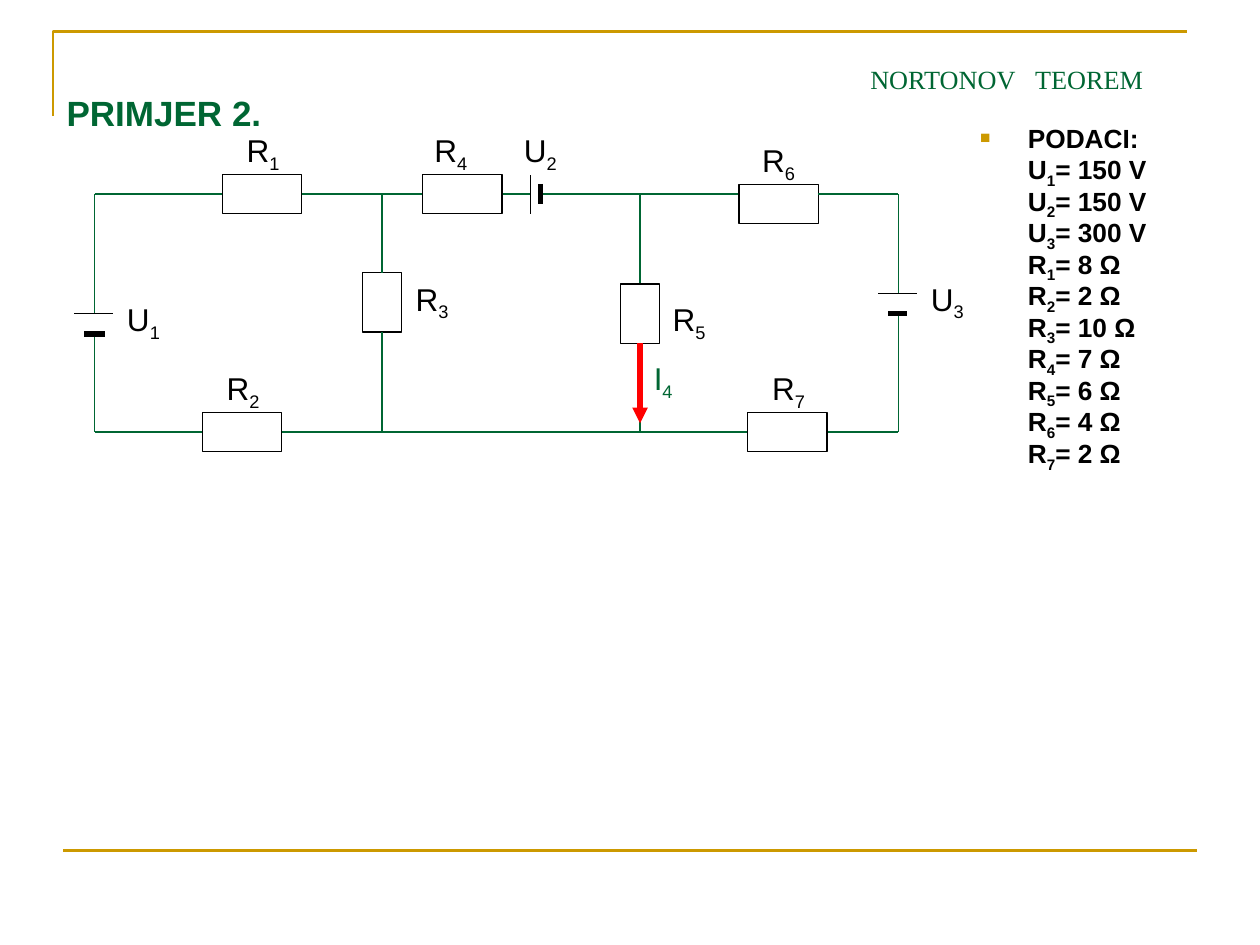
"""Build the slide with Norton's theorem, example 2: circuit diagram and data list."""
import pptx
import pptx.util
import pptx.dml.color
import pptx.enum.shapes
import pptx.enum.text
import pptx.oxml.ns
from lxml import etree

Inches, Pt = pptx.util.Inches, pptx.util.Pt
RGB = pptx.dml.color.RGBColor
ALIGN = pptx.enum.text.PP_ALIGN
ANCHOR = pptx.enum.text.MSO_ANCHOR
qn = pptx.oxml.ns.qn

GOLD = RGB(0xCC, 0x99, 0x00)
GREEN = RGB(0x00, 0x66, 0x33)
BLACK = RGB(0, 0, 0)
WHITE = RGB(0xFF, 0xFF, 0xFF)
RED = RGB(0xFF, 0, 0)

DATA = [
    ("U", "1", "150 V"), ("U", "2", "150 V"), ("U", "3", "300 V"),
    ("R", "1", "8 Ω"), ("R", "2", "2 Ω"), ("R", "3", "10 Ω"), ("R", "4", "7 Ω"),
    ("R", "5", "6 Ω"), ("R", "6", "4 Ω"), ("R", "7", "2 Ω"),
]

LEFT, MID, RIGHT, END = 0.75, 3.03, 5.08, 7.13
TOP, BOTTOM = 1.54, 3.43
ACROSS, UPRIGHT = (0.63, 0.31), (0.31, 0.47)

OPEN_RESISTORS = [(2.08, TOP, ACROSS), (MID, 2.4, UPRIGHT), (1.92, BOTTOM, ACROSS), (6.18, 1.62, ACROSS)]
FILLED_RESISTORS = [(RIGHT, 2.49, UPRIGHT), (6.25, BOTTOM, ACROSS), (3.67, TOP, ACROSS)]

WIRES = [
    (LEFT, 2.64, LEFT, BOTTOM), (LEFT, TOP, LEFT, 2.49),
    (LEFT, TOP, 1.77, TOP), (2.4, TOP, MID, TOP),
    (LEFT, BOTTOM, 1.61, BOTTOM), (2.24, BOTTOM, MID, BOTTOM),
    (MID, TOP, MID, 2.17), (MID, 2.64, MID, BOTTOM),
    (MID, TOP, 4.21, TOP), (MID, BOTTOM, RIGHT, BOTTOM), (4.29, TOP, RIGHT, TOP),
    (RIGHT, TOP, RIGHT, 2.33), (RIGHT, 2.49, RIGHT, BOTTOM),
    (RIGHT, TOP, 5.86, TOP), (RIGHT, BOTTOM, END, BOTTOM), (6.49, TOP, END, TOP),
    (END, TOP, END, 2.33), (END, 2.49, END, BOTTOM),
]
THIN_PLATES = [(0.59, 2.49, 0.9, 2.49), (6.97, 2.33, 7.28, 2.33), (4.21, 1.39, 4.21, 1.7)]
THICK_PLATES = [(0.67, 2.65, 0.83, 2.65), (7.05, 2.49, 7.2, 2.49), (4.29, 1.46, 4.29, 1.62)]

LABELS = [
    ("R", "1", 1.86, 0.99), ("R", "2", 1.7, 2.88), ("R", "3", 3.2, 2.17), ("R", "4", 3.35, 0.99),
    ("R", "5", 5.24, 2.33), ("R", "6", 5.95, 1.07), ("R", "7", 6.03, 2.88),
    ("U", "1", 0.91, 2.33), ("U", "2", 4.06, 0.99), ("U", "3", 7.29, 2.17),
    ("I", "4", 5.09, 2.8),
]

prs = pptx.Presentation()
prs.slide_width, prs.slide_height = Inches(10), Inches(7.5)
s = prs.slides.add_slide(prs.slide_layouts[6])


def add_run(p, text, size=18, color=BLACK, font="Arial", bold=False, base=0, spacing=0):
    r = p.add_run()
    r.text = text
    r.font.size, r.font.name, r.font.bold = Pt(size), font, bold
    r.font.color.rgb = color
    if base:
        r.font._element.set("baseline", str(base * 1000))
    if spacing:
        r.font._element.set("spc", str(int(spacing * 100)))


def add_box(x, y, w, h, wrap=True):
    tf = s.shapes.add_textbox(Inches(x), Inches(y), Inches(w), Inches(h)).text_frame
    tf.word_wrap = wrap
    return tf


def add_line(x1, y1, x2, y2, color, width):
    straight = pptx.enum.shapes.MSO_CONNECTOR.STRAIGHT
    sp = s.shapes.add_connector(straight, Inches(x1), Inches(y1), Inches(x2), Inches(y2))
    sp.line.color.rgb, sp.line.width = color, Pt(width)
    etree.SubElement(sp._element.spPr, qn("a:effectLst"))
    return sp


def add_resistor(cx, cy, size, filled=False):
    w, h = size
    rect = pptx.enum.shapes.MSO_SHAPE.RECTANGLE
    sp = s.shapes.add_shape(rect, Inches(cx - w / 2), Inches(cy - h / 2), Inches(w), Inches(h))
    sp.shadow.inherit = False
    sp.line.color.rgb, sp.line.width = BLACK, Pt(0.75)
    if filled:
        sp.fill.solid()
        sp.fill.fore_color.rgb = WHITE
    else:
        sp.fill.background()
    return sp


def find_side(rects, x, y):
    for sp in rects:
        cx, cy = sp.left + sp.width / 2, sp.top + sp.height / 2
        sides = [(cx, sp.top), (sp.left, cy), (cx, sp.top + sp.height), (sp.left + sp.width, cy)]
        for i, (sx, sy) in enumerate(sides):
            if max(abs(sx - Inches(x)), abs(sy - Inches(y))) < Inches(0.02):
                return sp, i
    return None


fb = s.shapes.build_freeform(Inches(0.42), Inches(0.92))
fb.add_line_segments([(Inches(0.42), Inches(0.25)), (Inches(9.42), Inches(0.25))], close=False)
frame = fb.convert_to_shape()
frame.shadow.inherit = False
frame.fill.background()
frame.line.color.rgb, frame.line.width = GOLD, Pt(1.5)
add_line(0.5, 6.75, 9.5, 6.75, GOLD, 1.5)

tf = add_box(5.39, 0.28, 5.2, 0.52)
tf.vertical_anchor = ANCHOR.BOTTOM
tf.paragraphs[0].alignment = ALIGN.CENTER
for text, spacing in [("NORTONOV", 0), (" ", 7.5), ("TEOREM", 0)]:
    add_run(tf.paragraphs[0], text, size=15, color=GREEN, font="Times New Roman", spacing=spacing)

tf = add_box(0.43, 0.68, 1.77, 0.44)
add_run(tf.paragraphs[0], "PRIMJER 2.", size=20, color=GREEN, bold=True)

tf = add_box(7.68, 0.99, 1.66, 2.99)
p = tf.paragraphs[0]
p.line_spacing = 0.7
pPr = p._p.get_or_add_pPr()
pPr.set("marL", str(Inches(0.38)))
pPr.set("indent", str(-Inches(0.38)))
etree.SubElement(etree.SubElement(pPr, qn("a:buClr")), qn("a:srgbClr")).set("val", str(GOLD))
for tag, key, value in [("buSzPct", "val", "65000"), ("buFont", "typeface", "Arial"), ("buChar", "char", "■")]:
    etree.SubElement(pPr, qn("a:" + tag)).set(key, value)
add_run(p, "PODACI:", size=15, bold=True)
for name, index, value in DATA:
    p = tf.add_paragraph()
    p.line_spacing, p.space_before = 0.7, Pt(3.7)
    p._p.get_or_add_pPr().set("marL", str(Inches(0.38)))
    for text, base in [(name, 0), (index, -25), ("= " + value, 0)]:
        add_run(p, text, size=15, bold=True, base=base)

rects = [add_resistor(*item) for item in OPEN_RESISTORS]
for x1, y1, x2, y2 in WIRES:
    wire = add_line(x1, y1, x2, y2, GREEN, 1)
    for join, side in [(wire.begin_connect, find_side(rects, x1, y1)), (wire.end_connect, find_side(rects, x2, y2))]:
        if side:
            join(*side)
filled = [add_resistor(*item, filled=True) for item in FILLED_RESISTORS]
for plates, width in [(THIN_PLATES, 0.75), (THICK_PLATES, 3)]:
    for plate in plates:
        add_line(*plate, BLACK, width)

arrow = add_line(RIGHT, 2.73, RIGHT, 3.36, RED, 3)
arrow.begin_connect(filled[0], 2)
etree.SubElement(arrow.line._get_or_add_ln(), qn("a:tailEnd")).set("type", "triangle")

for name, index, x, y in LABELS:
    is_current = name == "I"
    p = add_box(x, y, 0.35 if is_current else 0.46, 0.44, wrap=False).paragraphs[0]
    for text, base in [(name, 0), (index, -25)]:
        add_run(p, text, color=GREEN if is_current else BLACK, base=base)

prs.save("out.pptx")
